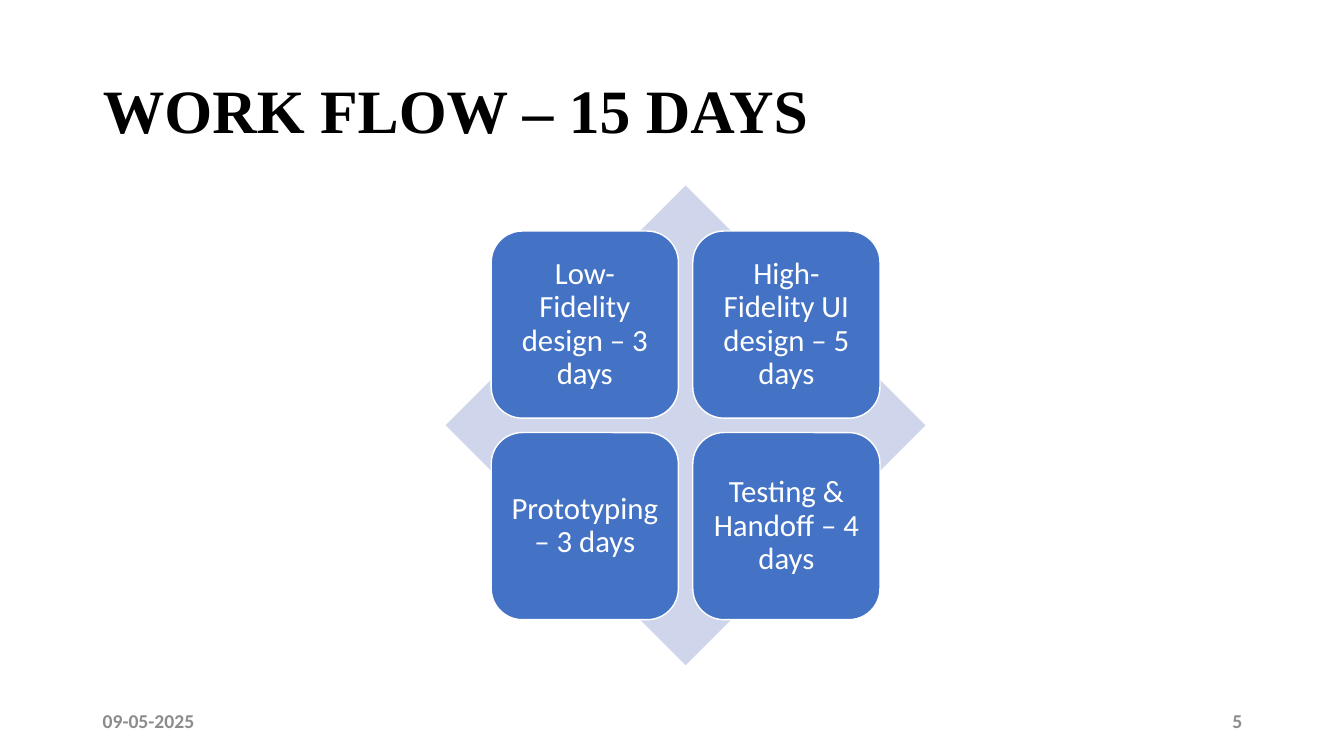
from pptx import Presentation
from pptx.dml.color import RGBColor
from pptx.enum.shapes import MSO_SHAPE
from pptx.enum.text import MSO_ANCHOR, MSO_AUTO_SIZE, PP_ALIGN
from pptx.util import Inches, Pt

DIAMOND, ROUNDED = MSO_SHAPE.DIAMOND, MSO_SHAPE.ROUNDED_RECTANGLE
LEFT, CENTER, RIGHT = PP_ALIGN.LEFT, PP_ALIGN.CENTER, PP_ALIGN.RIGHT
MIDDLE, NO_FIT = MSO_ANCHOR.MIDDLE, MSO_AUTO_SIZE.NONE
TITLE_ONLY = 5

TITLE_FONT = {"name": "Times New Roman", "size": Pt(44), "bold": True}
STAGE_FONT = {"name": "Calibri", "size": Pt(22), "bold": False}
FOOTER_FONT = {"name": "Calibri", "size": Pt(14), "bold": True}
STAGES = [
    "Low-Fidelity design – 3 days",
    "High-Fidelity UI design – 5 days",
    "Prototyping – 3 days",
    "Testing & Handoff – 4 days",
]


def color(hex_string):
    """Return the colour for a hex string."""
    return RGBColor.from_string(hex_string)


def write(shape, text, font, hex_string, alignment, spacing=1.0, inset=None):
    """Write one formatted paragraph, centred vertically in the shape."""
    frame = shape.text_frame
    settings = {"word_wrap": True, "auto_size": NO_FIT, "vertical_anchor": MIDDLE}
    if inset is not None:
        for side in ("left", "top", "right", "bottom"):
            settings[f"margin_{side}"] = Inches(inset)
    for name, value in settings.items():
        setattr(frame, name, value)
    paragraph = frame.paragraphs[0]
    paragraph.alignment = alignment
    paragraph.line_spacing = spacing
    run = paragraph.add_run()
    run.text = text
    for name, value in font.items():
        setattr(run.font, name, value)
    run.font.color.rgb = color(hex_string)


def add_filled_shape(slide, kind, left, top, size, fill):
    """Add a square-framed shape with a plain fill and no outline."""
    shape = slide.shapes.add_shape(
        kind, Inches(left), Inches(top), Inches(size), Inches(size))
    shape.shadow.inherit = False
    shape.fill.solid()
    shape.fill.fore_color.rgb = color(fill)
    shape.line.fill.background()
    return shape


def add_title(slide, left, top, width, height):
    """Place and fill the title placeholder."""
    title = slide.shapes.title
    box = {"left": left, "top": top, "width": width, "height": height}
    for name, value in box.items():
        setattr(title, name, Inches(value))
    write(title, "WORK FLOW – 15 DAYS", TITLE_FONT, "000000", LEFT, 0.9)


def add_stage_matrix(slide, left, top, size):
    """Draw the diamond with a two by two grid of stages at its centre."""
    add_filled_shape(slide, DIAMOND, left, top, size, "CFD5EA")
    tile = 0.39 * size
    step = 0.42 * size
    margin = (size - tile - step) / 2
    for index, text in enumerate(STAGES):
        row, column = divmod(index, 2)
        stage = add_filled_shape(
            slide, ROUNDED, left + margin + column * step,
            top + margin + row * step, tile, "4472C4")
        stage.line.color.rgb = color("FFFFFF")
        stage.line.width = Pt(1)
        write(stage, text, STAGE_FONT, "FFFFFF", CENTER, 0.9, 0.09)


def add_footer(slide, left, top, width, height):
    """Place the date and the slide number at the two ends of the footer."""
    box_width = 3
    items = [("09-05-2025", left, LEFT), ("5", left + width - box_width, RIGHT)]
    for text, box_left, alignment in items:
        box = slide.shapes.add_textbox(
            Inches(box_left), Inches(top), Inches(box_width), Inches(height))
        write(box, text, FOOTER_FONT, "8C8C8C", alignment)


def main():
    """Build and save the work flow slide."""
    presentation = Presentation()
    presentation.slide_width = Inches(13.33)
    presentation.slide_height = Inches(7.5)
    slide = presentation.slides.add_slide(presentation.slide_layouts[TITLE_ONLY])
    add_title(slide, 0.92, 0.4, 11.5, 1.45)
    add_stage_matrix(slide, 4.42, 1.84, 4.76)
    add_footer(slide, 0.92, 6.95, 11.5, 0.4)
    presentation.save("out.pptx")


if __name__ == "__main__":
    main()
